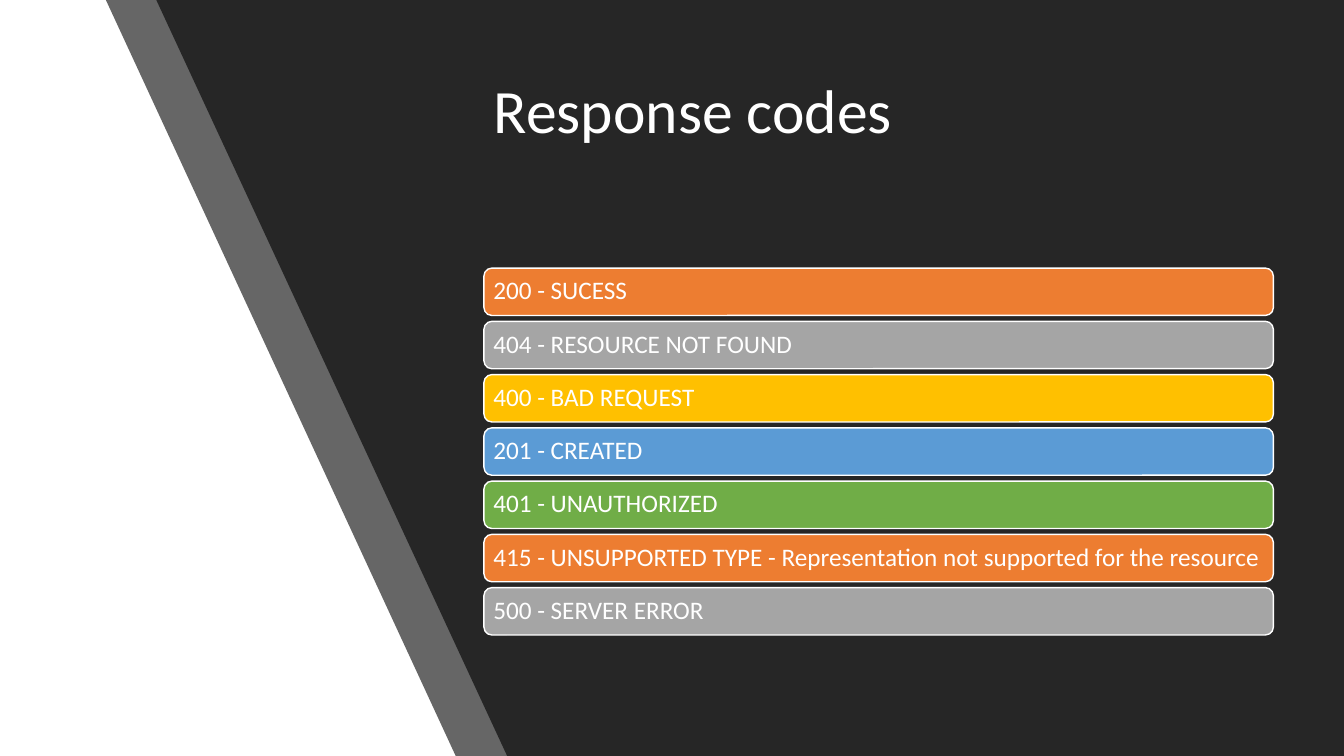
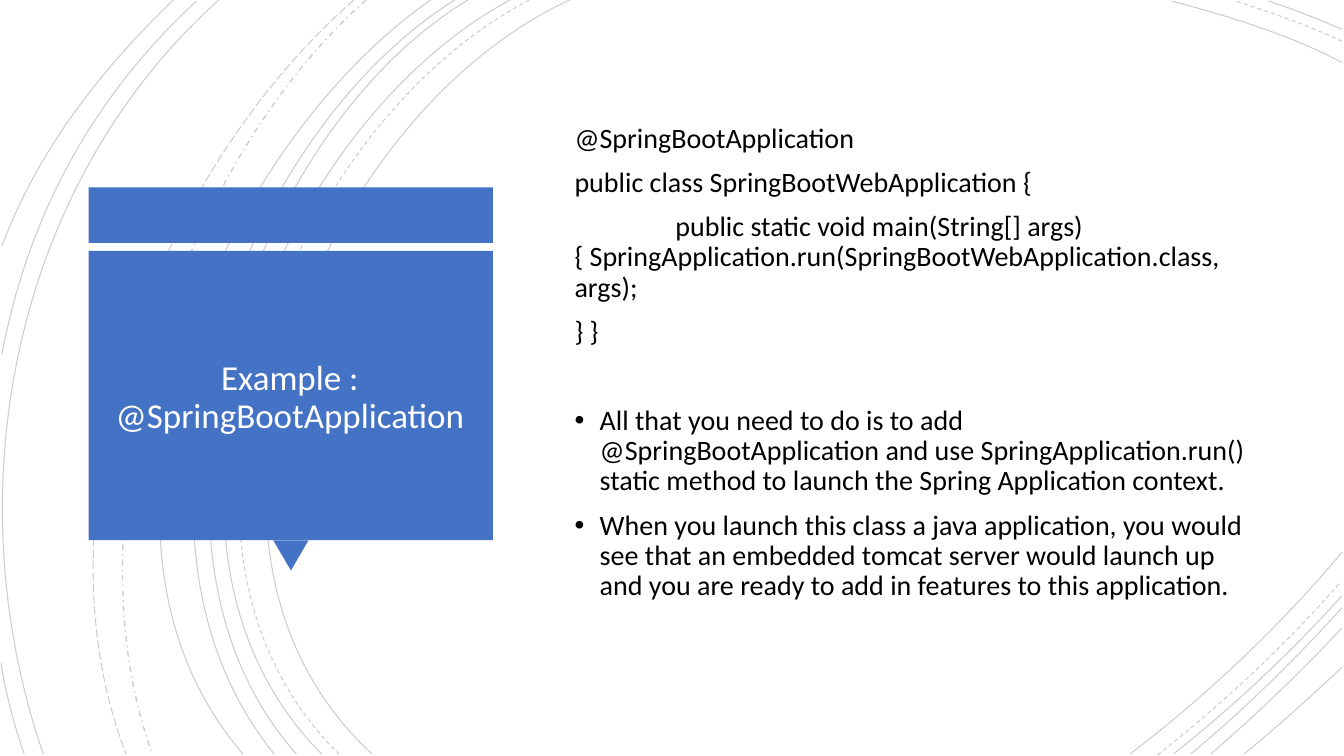
"""Build two slides: HTTP response codes and a SpringBootApplication example."""
from dataclasses import dataclass

from lxml.etree import SubElement
from pptx import Presentation
from pptx.dml.color import RGBColor
from pptx.enum.dml import MSO_LINE
from pptx.enum.shapes import MSO_SHAPE
from pptx.enum.text import MSO_ANCHOR, PP_ALIGN
from pptx.oxml.ns import qn
from pptx.util import Inches, Pt

FONT = "Calibri"
WHITE, BLACK, CHARCOAL, BLUE = "FFFFFF", "000000", "262626", "4472C4"
ORANGE, GREY, YELLOW, SKY, GREEN = "ED7D31", "A5A5A5", "FFC000", "5B9BD5", "70AD47"
WIDTH, HEIGHT = 13.33, 7.5
LINE_SPACING = 0.9
SOLID, DASH = MSO_LINE.SOLID, MSO_LINE.DASH

Point = tuple[float, float]


@dataclass(frozen=True)
class Box:
    left: float
    top: float
    width: float
    height: float

    def lengths(self) -> list:
        return [Inches(value) for value in (self.left, self.top, self.width, self.height)]


@dataclass(frozen=True)
class Code:
    label: str
    color: str


@dataclass(frozen=True)
class Arc:
    start: Point
    control_one: Point
    control_two: Point
    end: Point
    dash: MSO_LINE = SOLID
    weight: float = 0.75


@dataclass(frozen=True)
class Line:
    text: str
    before: float = 10
    first_indent: float = 0
    bullet: bool = False


CODES = [
    Code("200 - SUCESS", ORANGE),
    Code("404 - RESOURCE NOT FOUND", GREY),
    Code("400 - BAD REQUEST", YELLOW),
    Code("201 - CREATED", SKY),
    Code("401 - UNAUTHORIZED", GREEN),
    Code("415 - UNSUPPORTED TYPE - Representation not supported for the resource", ORANGE),
    Code("500 - SERVER ERROR", GREY),
]
CODE_BOX = Box(4.8, 2.66, 7.83, 0.47)
LAST_CODE_TOP = 5.83
CODE_PITCH = (LAST_CODE_TOP - CODE_BOX.top) / (len(CODES) - 1)

ARCS = [
    Arc((5.65, 0), (3.15, 1.15), (1.43, 5.4), (3.69, 7.48)),
    Arc((13.31, 0.62), (12.78, 0.34), (12.18, 0.16), (11.62, 0.01)),
    Arc((11.21, 7.48), (11.97, 6.9), (12.69, 6.22), (13.31, 5.48)),
    Arc((5.25, 0), (2.85, 1.25), (1.23, 5.37), (3.36, 7.48), DASH),
    Arc((13.31, 0.41), (12.97, 0.25), (12.6, 0.12), (12.25, 0.01), DASH),
    Arc((11.48, 7.49), (12.13, 6.98), (12.75, 6.4), (13.3, 5.77), DASH),
    Arc((5.06, 0), (2.7, 1.27), (1.1, 5.37), (3.19, 7.48)),
    Arc((13.31, 0.29), (13.07, 0.19), (12.83, 0.09), (12.58, 0.01)),
    Arc((11.64, 7.48), (12.23, 7.01), (12.8, 6.48), (13.31, 5.91)),
    Arc((4.64, 0), (2.44, 1.33), (1.1, 5.41), (2.94, 7.48)),
    Arc((11.81, 7.48), (12.34, 7.04), (12.84, 6.55), (13.31, 6.03)),
    Arc((4.51, 0), (2.31, 1.38), (0.97, 5.33), (2.72, 7.48)),
    Arc((12.01, 7.48), (12.46, 7.09), (12.9, 6.67), (13.31, 6.23)),
    Arc((4.27, 0), (2.17, 1.47), (0.53, 5.29), (2.41, 7.48)),
    Arc((12.34, 7.48), (12.67, 7.21), (12.99, 6.92), (13.31, 6.62)),
    Arc((3.63, 0), (1.76, 1.66), (0.65, 5.09), (1.51, 7.48), MSO_LINE.DASH_DOT, 1),
    Arc((3.51, 0), (1.57, 1.69), (0.29, 4.99), (1.25, 7.48), MSO_LINE.LONG_DASH),
    Arc((2.17, 0), (0.11, 1.85), (-0.46, 4.9), (0.43, 7.48)),
    Arc((1.95, 0.01), (0.92, 0.96), (0.28, 2.14), (0.02, 3.51)),
    Arc((0.01, 6.58), (0.06, 6.89), (0.14, 7.19), (0.24, 7.48)),
    Arc((1.72, 0), (1, 0.69), (0.37, 1.5), (0.02, 2.44)),
]

LINES = [
    Line("@SpringBootApplication", before=0),
    Line("public class SpringBootWebApplication {"),
    Line("public static void main(String[] args) { "
         "SpringApplication.run(SpringBootWebApplication.class, args);", first_indent=1),
    Line("} }"),
    Line("All that you need to do is to add @SpringBootApplication and use "
         "SpringApplication.run() static method to launch the Spring Application context.",
         before=42, bullet=True),
    Line("When you launch this class a java application, you would see that an embedded "
         "tomcat server would launch up and you are ready to add in features to this "
         "application.", bullet=True),
]


def rgb(color: str) -> RGBColor:
    return RGBColor.from_string(color)


def add_page(deck):
    page = deck.slides.add_slide(deck.slide_layouts[6])
    page.background.fill.solid()
    page.background.fill.fore_color.rgb = rgb(WHITE)
    return page


def paint(shape, fill: str | None = None, line: str | None = None, weight: float = 1) -> None:
    shape.shadow.inherit = False
    if fill:
        shape.fill.solid()
        shape.fill.fore_color.rgb = rgb(fill)
    else:
        shape.fill.background()
    if line:
        shape.line.color.rgb = rgb(line)
        shape.line.width = Pt(weight)
    else:
        shape.line.fill.background()


def set_opacity(shape, percent: int) -> None:
    for color in shape.element.spPr.iter(qn("a:srgbClr")):
        SubElement(color, qn("a:alpha"), val=str(percent * 1000))


def add_outline(page, points: list[Point], close: bool):
    start, *rest = [(Inches(x), Inches(y)) for x, y in points]
    builder = page.shapes.build_freeform(*start)
    builder.add_line_segments(rest, close=close)
    return builder.convert_to_shape()


def add_arc(page, arc: Arc) -> None:
    corners = [arc.start, arc.control_one, arc.control_two, arc.end]
    curve = add_outline(page, corners, close=False)
    segments = list(curve.element.spPr.iter(qn("a:lnTo")))
    bend = SubElement(segments[0].getparent(), qn("a:cubicBezTo"))
    for segment in segments:
        bend.append(segment[0])
        segment.getparent().remove(segment)
    paint(curve, line=BLACK, weight=arc.weight)
    curve.line.dash_style = arc.dash
    set_opacity(curve, 20)


def add_block(page, kind: MSO_SHAPE, box: Box, fill: str, line: str | None = None):
    shape = page.shapes.add_shape(kind, *box.lengths())
    paint(shape, fill, line)
    return shape


def add_text_box(page, box: Box):
    return page.shapes.add_textbox(*box.lengths()).text_frame


def set_frame(frame, inset: float | None = None) -> None:
    frame.word_wrap = True
    frame.vertical_anchor = MSO_ANCHOR.MIDDLE
    if inset is not None:
        frame.margin_left = frame.margin_right = Inches(inset)
        frame.margin_top = frame.margin_bottom = Inches(inset)


def style_paragraph(para, size: float, color: str, align: PP_ALIGN = PP_ALIGN.LEFT) -> None:
    para.alignment = align
    para.line_spacing = LINE_SPACING
    for span in para.runs:
        span.font.name = FONT
        span.font.size = Pt(size)
        span.font.color.rgb = rgb(color)


def add_title(page, text: str, box: Box, size: float, align: PP_ALIGN = PP_ALIGN.LEFT) -> None:
    frame = add_text_box(page, box)
    set_frame(frame)
    frame.text = text
    style_paragraph(frame.paragraphs[0], size, WHITE, align)


def set_indent(para, left: float, first: float) -> None:
    properties = para._p.get_or_add_pPr()
    properties.set("marL", str(Inches(left)))
    properties.set("indent", str(Inches(first)))


def add_bullet(para) -> None:
    set_indent(para, 0.25, -0.25)
    properties = para._p.get_or_add_pPr()
    SubElement(properties, qn("a:buFont"), typeface="Arial")
    SubElement(properties, qn("a:buChar"), char="•")


def add_lines(page, lines: list[Line], box: Box) -> None:
    frame = add_text_box(page, box)
    set_frame(frame)
    for index, line in enumerate(lines):
        para = frame.add_paragraph() if index else frame.paragraphs[0]
        para.text = line.text
        if line.bullet:
            add_bullet(para)
        elif line.first_indent:
            set_indent(para, 0, line.first_indent)
        if line.before:
            para.space_before = Pt(line.before)
        style_paragraph(para, 20, BLACK)


def add_slanted_panel(page, top_left: float, bottom_left: float, opacity: int) -> None:
    corners = [(WIDTH, HEIGHT), (bottom_left, HEIGHT), (top_left, 0), (WIDTH, 0)]
    panel = add_outline(page, corners, close=True)
    paint(panel, CHARCOAL)
    set_opacity(panel, opacity)


def build_codes_page(deck) -> None:
    page = add_page(deck)
    add_slanted_panel(page, 1.05, 4.52, 70)
    add_slanted_panel(page, 1.55, 5.03, 100)
    add_title(page, "Response codes", Box(4.8, 0.4, 7.84, 1.45), 44)
    for index, code in enumerate(CODES):
        box = Box(CODE_BOX.left, CODE_BOX.top + index * CODE_PITCH, CODE_BOX.width, CODE_BOX.height)
        bar = add_block(page, MSO_SHAPE.ROUNDED_RECTANGLE, box, code.color, WHITE)
        set_frame(bar.text_frame, 0.07)
        bar.text_frame.text = code.label
        style_paragraph(bar.text_frame.paragraphs[0], 18, WHITE)


def build_example_page(deck) -> None:
    page = add_page(deck)
    for arc in ARCS:
        add_arc(page, arc)
    add_block(page, MSO_SHAPE.RECTANGLE, Box(0.88, 1.86, 4.01, 0.55), BLUE)
    pointer = add_block(page, MSO_SHAPE.ISOSCELES_TRIANGLE, Box(2.71, 5.36, 0.35, 0.3), BLUE)
    pointer.rotation = 180
    add_block(page, MSO_SHAPE.RECTANGLE, Box(0.88, 2.49, 4.01, 2.87), BLUE)
    add_title(page, "Example : @SpringBootApplication", Box(0.99, 2.64, 3.77, 2.62), 25,
              PP_ALIGN.CENTER)
    add_lines(page, LINES, Box(5.6, 0.95, 6.87, 5.3))


def main() -> None:
    deck = Presentation()
    deck.slide_width = Inches(WIDTH)
    deck.slide_height = Inches(HEIGHT)
    build_codes_page(deck)
    build_example_page(deck)
    deck.save("out.pptx")


if __name__ == "__main__":
    main()
